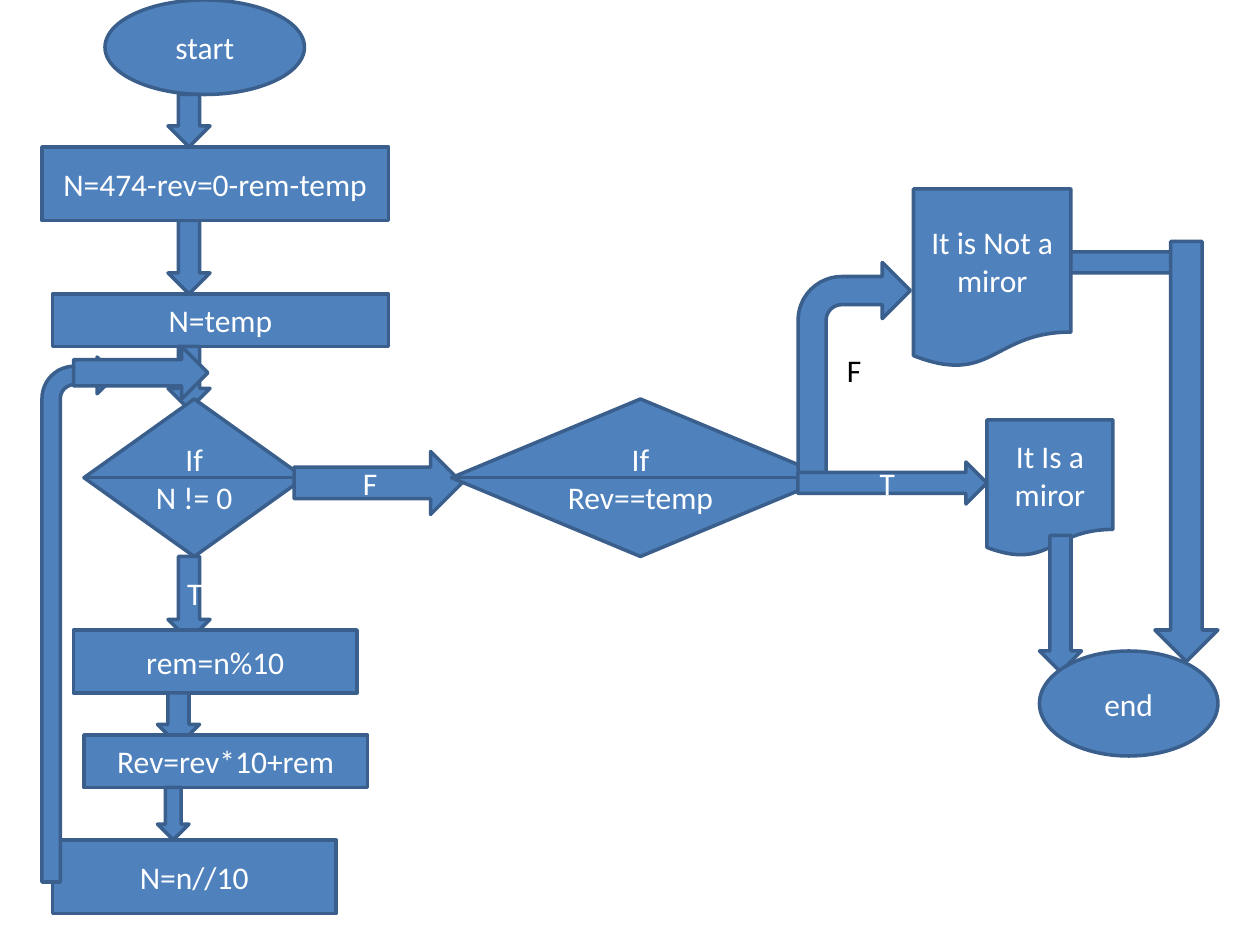
from dataclasses import dataclass

from pptx import Presentation
from pptx.dml.color import RGBColor
from pptx.enum.shapes import MSO_SHAPE
from pptx.enum.text import MSO_ANCHOR, PP_ALIGN
from pptx.util import Emu, Pt

EMU_PER_PX = 7620  # 120 px to the inch
FILL, OUTLINE, WHITE, BLACK = "4F81BD", "3A5F8C", "FFFFFF", "000000"

TERMINAL = MSO_SHAPE.OVAL
PROCESS = MSO_SHAPE.FLOWCHART_PROCESS
STEP = MSO_SHAPE.RECTANGLE
DECISION = MSO_SHAPE.FLOWCHART_SORT
OUTPUT = MSO_SHAPE.FLOWCHART_DOCUMENT
DOWN = MSO_SHAPE.DOWN_ARROW
RIGHT = MSO_SHAPE.RIGHT_ARROW
BENT = MSO_SHAPE.BENT_ARROW
MIDDLE, CENTER = MSO_ANCHOR.MIDDLE, PP_ALIGN.CENTER


@dataclass(frozen=True)
class Node:
    kind: int
    left: int
    top: int
    width: int
    height: int
    label: str = ""
    color: str = WHITE
    bend: float | None = None


# Listed from back to front, because several arrows overlap their boxes.
FLOW = [
    Node(TERMINAL, 100, 0, 190, 90, "start"),
    Node(DOWN, 160, 90, 40, 50),
    Node(DOWN, 160, 210, 40, 70),
    Node(PROCESS, 40, 140, 330, 70, "N=474-rev=0-rem-temp"),
    Node(PROCESS, 50, 280, 320, 50, "N=temp"),
    Node(DOWN, 160, 330, 40, 60),
    # Loop that reverses the digits
    Node(DECISION, 80, 380, 210, 150, "If\nN != 0"),
    Node(DOWN, 160, 530, 40, 80, "T"),
    Node(STEP, 70, 600, 270, 60, "rem=n%10"),
    Node(DOWN, 150, 660, 40, 50),
    Node(STEP, 80, 700, 270, 50, "Rev=rev*10+rem"),
    Node(DOWN, 150, 750, 30, 50),
    Node(STEP, 50, 800, 270, 70, "N=n//10"),
    Node(BENT, 40, 340, 70, 500, bend=0.44),
    Node(RIGHT, 70, 330, 128, 50),
    # Comparison and its two outcomes
    Node(RIGHT, 280, 430, 160, 60, "F"),
    Node(DECISION, 430, 380, 360, 150, "If\nRev==temp"),
    Node(BENT, 760, 250, 107, 204, "F", BLACK, 0.39),
    Node(OUTPUT, 870, 180, 150, 170, "It is Not a miror"),
    Node(RIGHT, 760, 440, 180, 40, "T"),
    Node(OUTPUT, 940, 400, 120, 130, "It Is a miror"),
    Node(RIGHT, 1020, 230, 120, 40),
    Node(DOWN, 1100, 230, 60, 400),
    Node(DOWN, 990, 510, 40, 130),
    Node(TERMINAL, 990, 620, 170, 100, "end"),
]


def px(length: int) -> Emu:
    return Emu(length * EMU_PER_PX)


def rgb(value: str) -> RGBColor:
    return RGBColor.from_string(value)


def write_label(frame, label: str, color: str) -> None:
    frame.text = label
    frame.word_wrap = True
    frame.vertical_anchor = MIDDLE
    for paragraph in frame.paragraphs:
        paragraph.alignment = CENTER
        for run in paragraph.runs:
            run.font.name = "Calibri"
            run.font.size = Pt(18)
            run.font.color.rgb = rgb(color)


def draw_node(slide, node: Node) -> None:
    shape = slide.shapes.add_shape(
        node.kind, px(node.left), px(node.top), px(node.width), px(node.height)
    )
    shape.shadow.inherit = False
    shape.fill.solid()
    shape.fill.fore_color.rgb = rgb(FILL)
    shape.line.color.rgb = rgb(OUTLINE)
    shape.line.width = Pt(2)
    if node.bend is not None:
        shape.adjustments[3] = node.bend
    if node.label:
        write_label(shape.text_frame, node.label, node.color)


def main() -> None:
    presentation = Presentation()
    presentation.slide_width = px(1200)
    presentation.slide_height = px(900)
    slide = presentation.slides.add_slide(presentation.slide_layouts[6])
    for node in FLOW:
        draw_node(slide, node)
    presentation.save("out.pptx")


if __name__ == "__main__":
    main()
